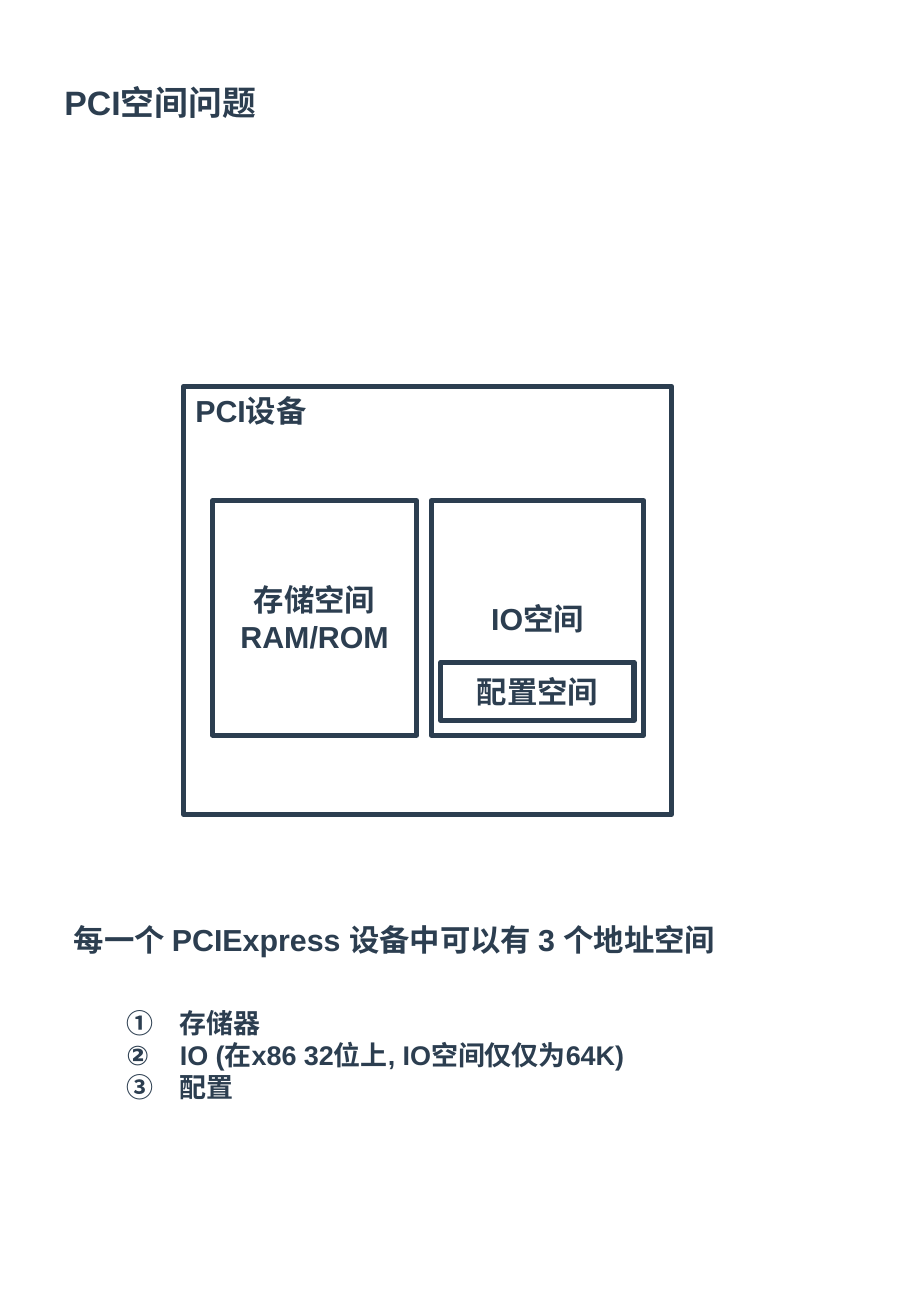
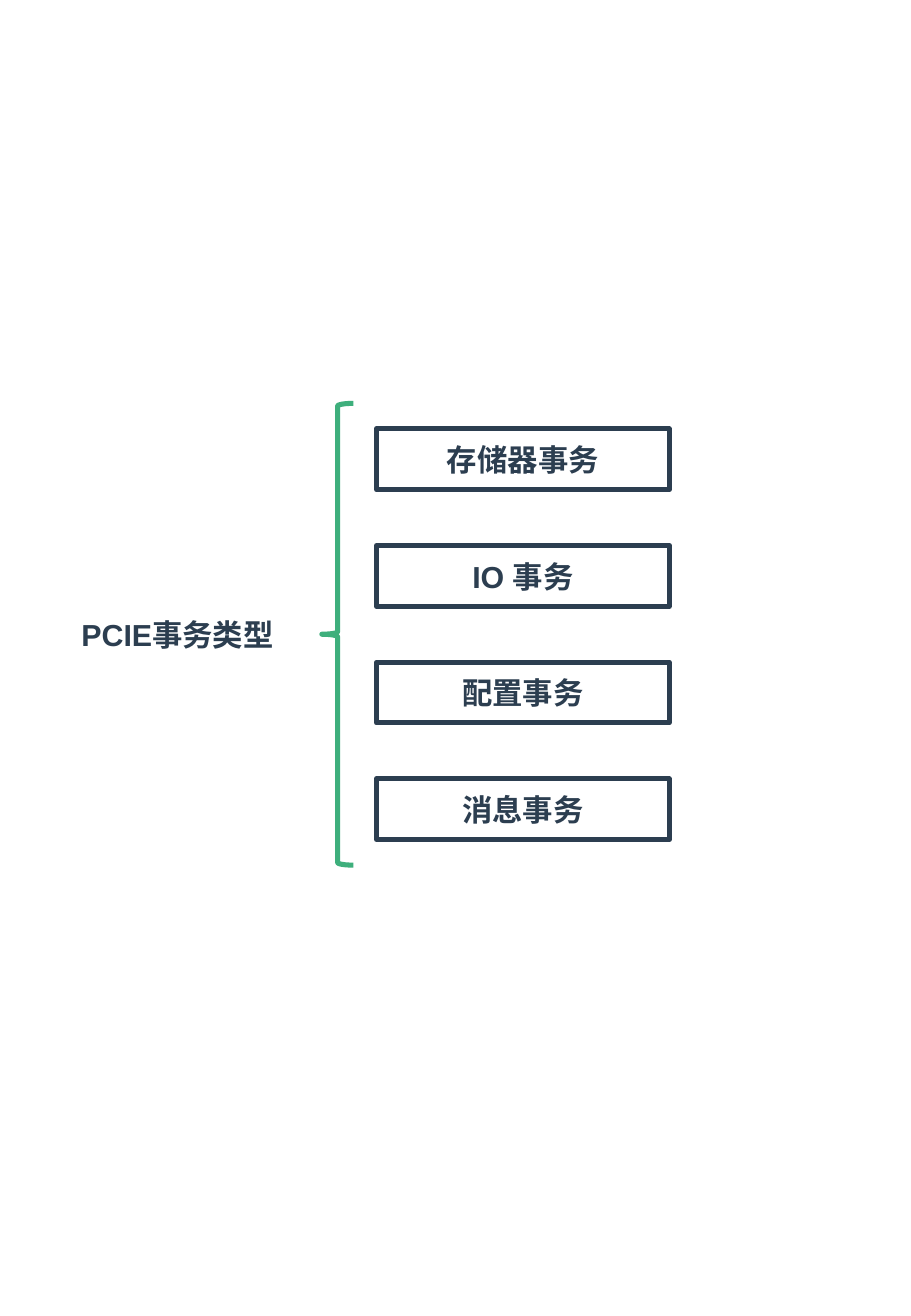
from lxml.etree import SubElement
from pptx import Presentation
from pptx.dml.color import RGBColor
from pptx.enum.shapes import MSO_SHAPE
from pptx.enum.text import MSO_ANCHOR, MSO_AUTO_SIZE, PP_ALIGN
from pptx.oxml.ns import qn
from pptx.util import Inches, Pt

COLORS = {"ink": "2C3E50", "green": "3EAF7C", "paper": "FFFFFF"}
FONT = "Arial"


def color(name):
    return RGBColor.from_string(COLORS[name])


def write(frame, lines, size=18, align=PP_ALIGN.LEFT, anchor=MSO_ANCHOR.TOP):
    frame.word_wrap = True
    frame.auto_size = MSO_AUTO_SIZE.NONE
    frame.vertical_anchor = anchor
    for i, line in enumerate(lines):
        para = frame.paragraphs[0] if i == 0 else frame.add_paragraph()
        para.alignment = align
        para.space_before = Pt(0)
        run = para.add_run()
        run.text = line
        font = run.font
        font.name, font.size, font.bold = FONT, Pt(size), True
        font.color.rgb = color("ink")


def place(shape, box):
    shape.left, shape.top, shape.width, shape.height = map(Inches, box)


def outline(slide, kind, box, tint="ink"):
    shape = slide.shapes.add_shape(kind, *map(Inches, box))
    shape.shadow.inherit = False
    shape.fill.background()
    shape.line.color.rgb = color(tint)
    shape.line.width = Pt(3)
    return shape


def panel(slide, box, lines, align=PP_ALIGN.CENTER, anchor=MSO_ANCHOR.MIDDLE):
    shape = outline(slide, MSO_SHAPE.RECTANGLE, box)
    write(shape.text_frame, lines, align=align, anchor=anchor)


def start(deck, layout, title, box, size):
    slide = deck.slides.add_slide(deck.slide_layouts[layout])
    slide.background.fill.solid()
    slide.background.fill.fore_color.rgb = color("paper")
    place(slide.shapes.title, box)
    write(slide.shapes.title.text_frame, [title], size)
    return slide


# Device frame with its three address spaces
def device(slide, box):
    x, y, w, h = box
    panel(slide, box, ["PCI设备"], PP_ALIGN.LEFT, MSO_ANCHOR.TOP)
    top, high = y + 0.94, 1.93
    panel(slide, (x + 0.24, top, 1.68, high), ["存储空间", "RAM/ROM"])
    panel(slide, (x + 2.12, top + 1.33, 1.59, 0.48), ["配置空间"])
    panel(slide, (x + 2.04, top, 1.75, high), ["IO空间"])


# Lead sentence and numbered list
def summary(slide, box, lead, items):
    x, y, w, h = box
    text = slide.shapes.add_textbox(*map(Inches, (x, y, w, 0.4)))
    write(text.text_frame, [lead])
    body = slide.placeholders[1]
    place(body, (x + 0.43, y + 0.7, 4.73, h - 0.7))
    write(body.text_frame, items, 16)
    for para in body.text_frame.paragraphs:
        props = para._p.get_or_add_pPr()
        props.set("marL", str(Inches(0.44)))
        props.set("indent", str(-Inches(0.44)))
        SubElement(props, qn("a:buAutoNum"), type="circleNumDbPlain")


# Brace with evenly spaced boxes beside it
def branches(slide, box, names):
    x, y, w, h = box
    step, high = 0.96, 0.5
    first = y + (h - step * (len(names) - 1) - high) / 2
    for i, name in enumerate(names):
        panel(slide, (x + 0.45, first + i * step, w - 0.45, high), [name])
    outline(slide, MSO_SHAPE.LEFT_BRACE, (x, y, 0.26, h), "green")


def main():
    deck = Presentation()
    deck.slide_width, deck.slide_height = Inches(7.5), Inches(10.83)

    # Address spaces
    slide = start(deck, 1, "PCI空间问题", (0.43, 0.62, 1.82, 0.44), 20)
    device(slide, (1.51, 3.18, 4.02, 3.52))
    summary(slide, (0.51, 7.53, 5.85, 1.61),
            "每一个 PCIExpress 设备中可以有 3 个地址空间",
            ["存储器", "IO (在x86 32位上, IO空间仅仅为64K)", "配置"])

    # Transaction types
    slide = start(deck, 5, "PCIE事务类型", (0.57, 5.02, 1.83, 0.4), 18)
    branches(slide, (2.65, 3.32, 2.86, 3.8),
             ["存储器事务", "IO 事务", "配置事务", "消息事务"])

    deck.save("out.pptx")


if __name__ == "__main__":
    main()
